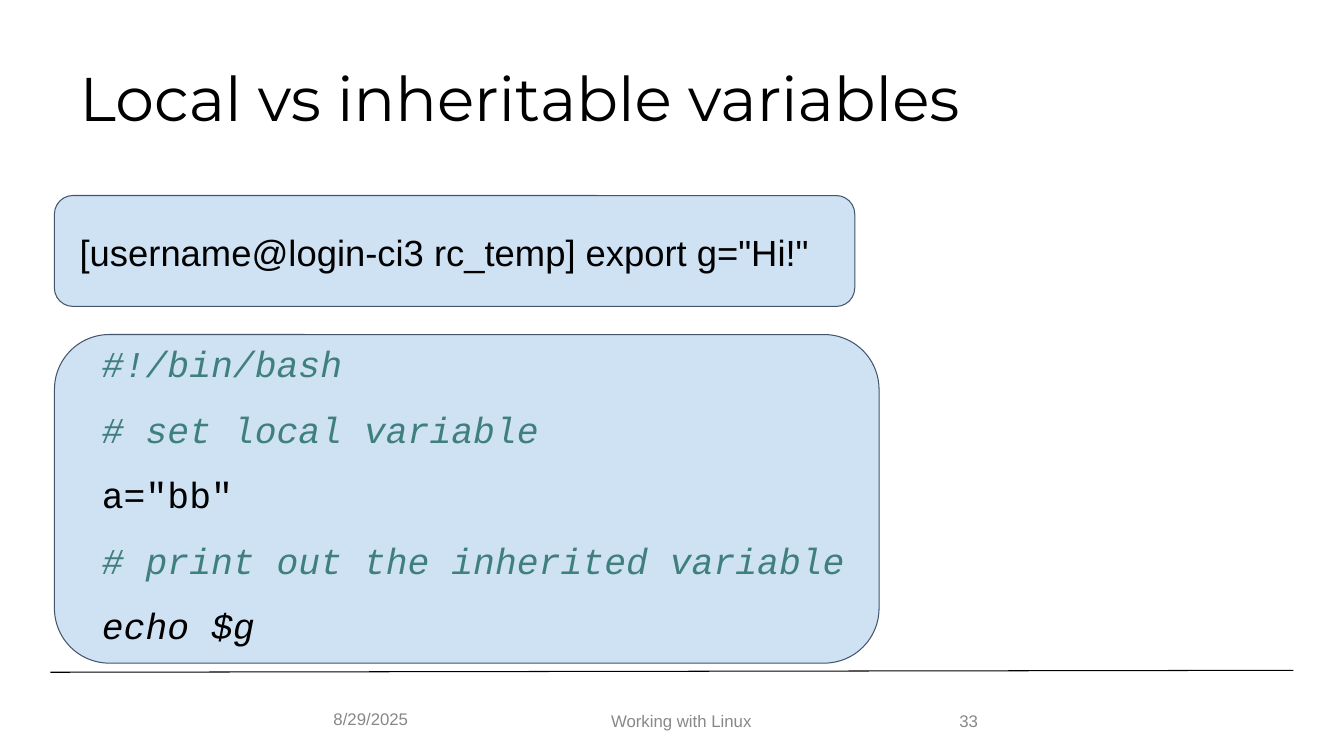
from dataclasses import dataclass

from lxml.etree import SubElement
from pptx import Presentation
from pptx.dml.color import RGBColor
from pptx.enum.shapes import MSO_CONNECTOR, MSO_SHAPE
from pptx.enum.text import MSO_ANCHOR, PP_ALIGN
from pptx.oxml.ns import qn
from pptx.util import Pt


@dataclass(frozen=True)
class Theme:
    ink: str = "000000"
    comment: str = "3F7F7F"
    muted: str = "888888"
    panel: str = "CFE2F3"
    outline: str = "44546A"
    heading_font: str = "Montserrat"
    body_font: str = "Arial"
    code_font: str = "Courier New"
    title_size: int = 44
    code_size: int = 26
    footer_size: int = 12
    line_width: float = 0.75


THEME = Theme()

TITLE = "Local vs inheritable variables"
COMMAND = '[username@login-ci3 rc_temp] export g="Hi!"'
# Each script line: text, colour, italic
SCRIPT_LINES = [
    ("#!/bin/bash", THEME.comment, True),
    ("# set local variable", THEME.comment, True),
    ('a="bb"', THEME.ink, False),
    ("# print out the inherited variable", THEME.comment, True),
    ("echo $g", THEME.ink, True),
]
# Each footer item: text, left, width, height, alignment
FOOTER_TOP = 500.4
FOOTER = [
    ("Working with Linux", 324.7, 324, 28.8, PP_ALIGN.CENTER),
    ("33", 678.2, 54, 28.8, PP_ALIGN.LEFT),
    ("8/29/2025", 231.1, 71.3, 25.9, PP_ALIGN.LEFT),
]

# Boxes: left, top, width, height
TITLE_BOX = (54.7, 39.6, 949.7, 56.2)
SCRIPT_PANEL = (38.9, 239, 589, 234.7)
SCRIPT_BOX = (70.6, 226.1, 571.7, 259.9)
COMMAND_PANEL = (38.9, 139.7, 571.7, 79.2)
COMMAND_BOX = (54.7, 161.3, 686.9, 35.3)
FOOTER_RULE = (36, 480.2, 923.8, 478.8)

CODE_INSETS = (2.2, 2.2, 0, 0)
TITLE_INSETS = (2.2, 2.9, 0, 0)
FOOTER_INSETS = (7.2, 3.6, 7.2, 3.6)


def points(values):
    return [Pt(value) for value in values]


def add_text(slide, box, lines, font_name, size, insets, anchor=MSO_ANCHOR.TOP,
             alignment=PP_ALIGN.LEFT, spacing=None):
    """Add a text box with one paragraph per (text, colour, italic) line."""
    frame = slide.shapes.add_textbox(*points(box)).text_frame
    frame.word_wrap = True
    frame.vertical_anchor = anchor
    (frame.margin_left, frame.margin_top,
     frame.margin_right, frame.margin_bottom) = points(insets)
    for index, (text, colour, italic) in enumerate(lines):
        paragraph = frame.add_paragraph() if index else frame.paragraphs[0]
        paragraph.alignment = alignment
        paragraph.line_spacing = spacing
        run = paragraph.add_run()
        run.text = text
        run.font.name = font_name
        run.font.size = Pt(size)
        run.font.italic = italic
        run.font.color.rgb = RGBColor.from_string(colour)


def add_panel(slide, box):
    panel = slide.shapes.add_shape(MSO_SHAPE.ROUNDED_RECTANGLE, *points(box))
    panel.shadow.inherit = False
    panel.adjustments[0] = 0.167
    panel.fill.solid()
    panel.fill.fore_color.rgb = RGBColor.from_string(THEME.panel)
    panel.line.color.rgb = RGBColor.from_string(THEME.outline)
    panel.line.width = Pt(THEME.line_width)


def add_rule(slide, ends):
    rule = slide.shapes.add_connector(MSO_CONNECTOR.STRAIGHT, *points(ends))
    rule.line.color.rgb = RGBColor.from_string(THEME.ink)
    rule.line.width = Pt(THEME.line_width)
    SubElement(rule._element.spPr, qn("a:effectLst"))


def main():
    presentation = Presentation()
    presentation.slide_width, presentation.slide_height = Pt(960), Pt(540)
    slide = presentation.slides.add_slide(presentation.slide_layouts[6])

    add_rule(slide, FOOTER_RULE)
    add_text(slide, TITLE_BOX, [(TITLE, THEME.ink, False)], THEME.heading_font,
             THEME.title_size, TITLE_INSETS, MSO_ANCHOR.MIDDLE)
    for text, left, width, height, alignment in FOOTER:
        add_text(slide, (left, FOOTER_TOP, width, height),
                 [(text, THEME.muted, False)], THEME.body_font,
                 THEME.footer_size, FOOTER_INSETS, MSO_ANCHOR.MIDDLE, alignment)

    add_panel(slide, SCRIPT_PANEL)
    add_text(slide, SCRIPT_BOX, SCRIPT_LINES, THEME.code_font,
             THEME.code_size, CODE_INSETS, spacing=1.5)
    add_panel(slide, COMMAND_PANEL)
    add_text(slide, COMMAND_BOX, [(COMMAND, THEME.ink, False)], THEME.body_font,
             THEME.code_size, CODE_INSETS, spacing=1.03)

    presentation.save("out.pptx")


if __name__ == "__main__":
    main()
